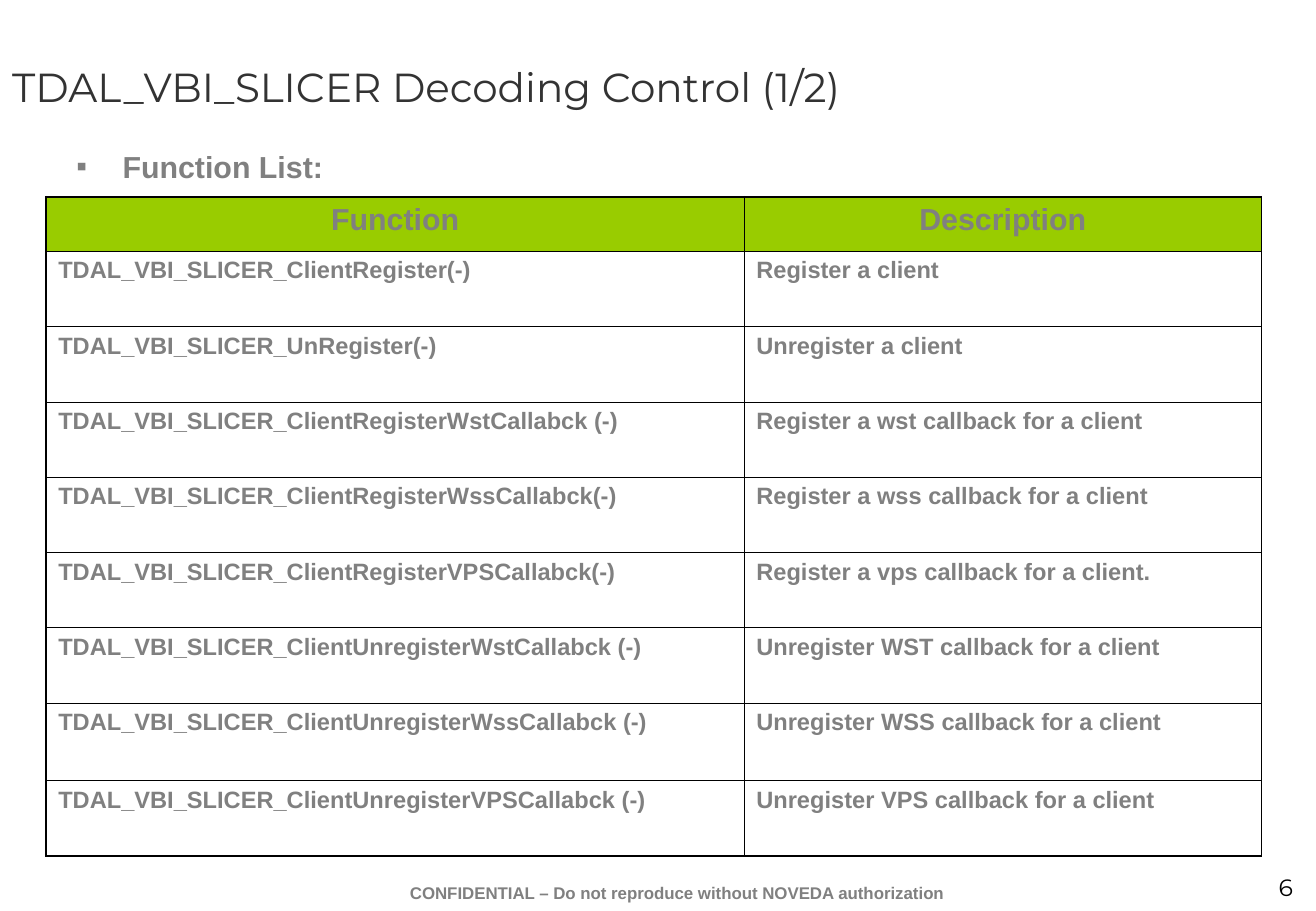
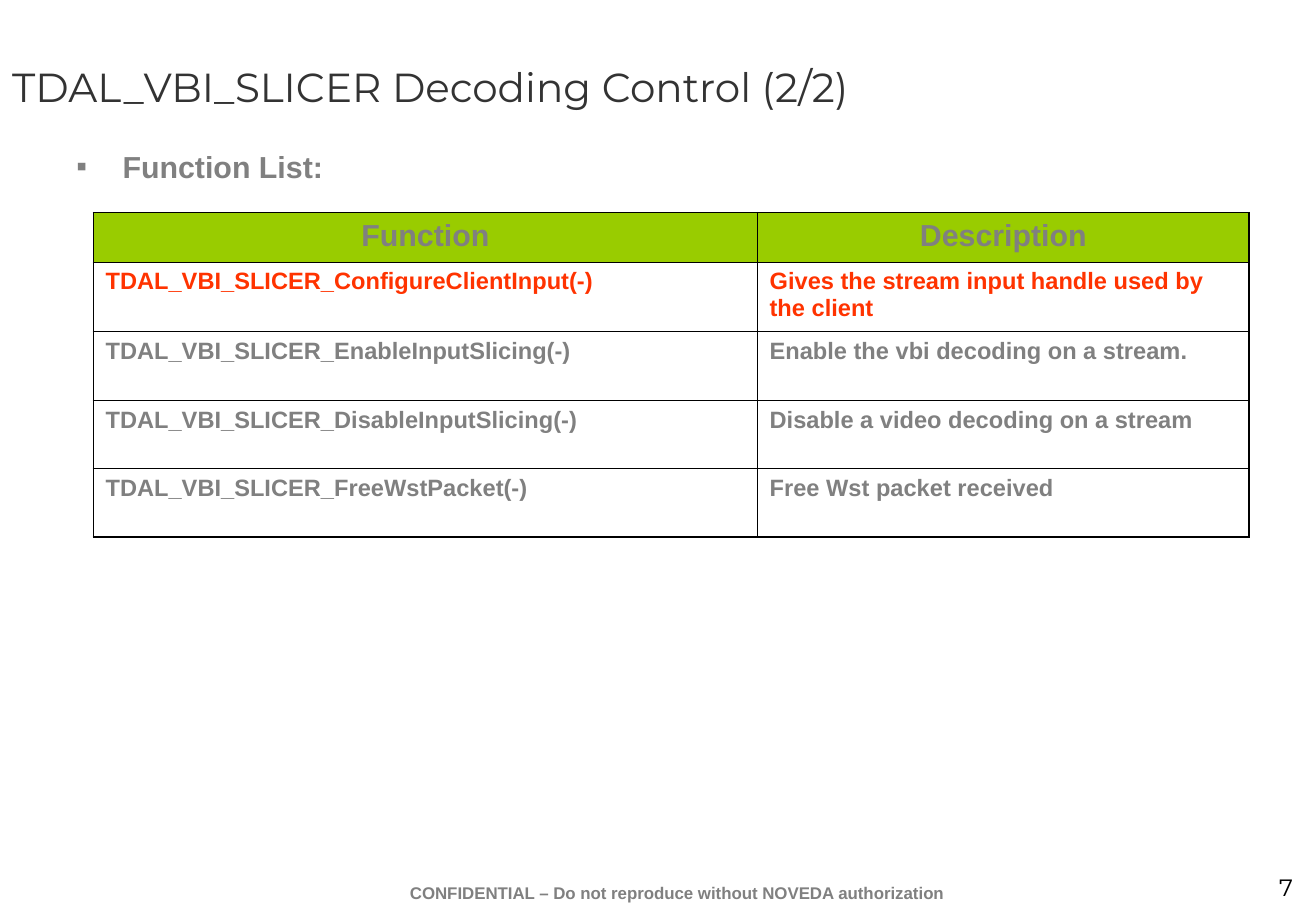
import pptx
import pptx.dml.color
import pptx.enum.text
import pptx.oxml
import pptx.oxml.ns
import pptx.util
from pptx.util import Inches

GREY = "808080"
DARK = "333333"
BLACK = "000000"
GREEN = "99CC00"
RED = "FF3300"
BODY_FONT = "Arial"
TITLE_FONT = "Montserrat"
FOOTER = "CONFIDENTIAL – Do not reproduce without NOVEDA authorization"
HEADINGS = ("Function", "Description")
OUTER_LINE = 1.08
INNER_LINE = 0.45
ALIGN = pptx.enum.text.PP_ALIGN
ANCHOR = pptx.enum.text.MSO_ANCHOR

REGISTER_ROWS = [
    ("TDAL_VBI_SLICER_ClientRegister(-)", "Register a client"),
    ("TDAL_VBI_SLICER_UnRegister(-)", "Unregister a client"),
    ("TDAL_VBI_SLICER_ClientRegisterWstCallabck (-)", "Register a wst callback for a client"),
    ("TDAL_VBI_SLICER_ClientRegisterWssCallabck(-)", "Register a wss callback for a client"),
    ("TDAL_VBI_SLICER_ClientRegisterVPSCallabck(-)", "Register a vps callback for a client."),
    ("TDAL_VBI_SLICER_ClientUnregisterWstCallabck (-)", "Unregister WST callback for a client"),
    ("TDAL_VBI_SLICER_ClientUnregisterWssCallabck (-)", "Unregister WSS callback for a client"),
    ("TDAL_VBI_SLICER_ClientUnregisterVPSCallabck (-)", "Unregister VPS callback for a client"),
]
SLICING_ROWS = [
    ("TDAL_VBI_SLICER_ConfigureClientInput(-)", "Gives the stream input handle used by the client"),
    ("TDAL_VBI_SLICER_EnableInputSlicing(-)", "Enable the vbi decoding on a stream."),
    ("TDAL_VBI_SLICER_DisableInputSlicing(-)", "Disable a video decoding on a stream"),
    ("TDAL_VBI_SLICER_FreeWstPacket(-)", "Free Wst packet received"),
]


def colour(value):
    return pptx.dml.color.RGBColor.from_string(value)


def add_xml(parent, markup):
    namespace = pptx.oxml.ns.nsdecls("a")
    tag, rest = markup.split(" ", 1)
    parent.append(pptx.oxml.parse_xml(f"{tag} {namespace} {rest}"))


def write_text(frame, text, size=14, font=BODY_FONT, color=GREY, bold=True,
               align=ALIGN.LEFT, anchor=ANCHOR.TOP, bullet=None):
    frame.word_wrap = True
    frame.vertical_anchor = anchor
    para = frame.paragraphs[0]
    if bullet:
        properties = para._p.get_or_add_pPr()
        properties.set("marL", str(Inches(0.38)))
        properties.set("indent", str(-Inches(0.38)))
        add_xml(properties, f'<a:buClr ><a:srgbClr val="{color}"/></a:buClr>')
        add_xml(properties, f'<a:buFont typeface="{font}"/>')
        add_xml(properties, f'<a:buChar char="{bullet}"/>')
    para.alignment = align
    para.space_before = pptx.util.Pt(0)
    span = para.add_run()
    span.text = text
    span.font.size = pptx.util.Pt(size)
    span.font.name = font
    span.font.bold = bold
    span.font.color.rgb = colour(color)


def place(box, left, top, width, height):
    box.left, box.top = Inches(left), Inches(top)
    box.width, box.height = Inches(width), Inches(height)
    box.text_frame.auto_size = pptx.enum.text.MSO_AUTO_SIZE.NONE


def add_label(page, bounds, text, **style):
    box = page.shapes.add_textbox(*map(Inches, bounds))
    write_text(box.text_frame, text, **style)


def add_page(deck, title, number):
    page = deck.slides.add_slide(deck.slide_layouts[1])
    heading, body = page.placeholders
    place(heading, 0, 0, 10.83, 1.42)
    write_text(heading.text_frame, title, size=24, font=TITLE_FONT, color=DARK,
               bold=False, anchor=ANCHOR.MIDDLE)
    place(body, 0.53, 1.17, 9.91, 4.95)
    write_text(body.text_frame, "Function List:", size=18, bullet="▪")
    add_label(page, (9.59, 7.14, 1.16, 0.33), str(number), font=TITLE_FONT,
              color=BLACK, bold=False, align=ALIGN.RIGHT)
    add_label(page, (2.66, 7.22, 5.83, 0.28), FOOTER, size=10, align=ALIGN.CENTER)
    return page


def border_cell(cell, outer_sides):
    properties = cell._tc.get_or_add_tcPr()
    for side in "LRTB":
        width = pptx.util.Pt(OUTER_LINE if side in outer_sides else INNER_LINE)
        add_xml(properties, f'<a:ln{side} w="{width}"><a:solidFill><a:srgbClr val="{BLACK}"/>'
                            f'</a:solidFill></a:ln{side}>')


def add_function_table(page, left, top, widths, heights, functions, highlighted=None):
    rows = [HEADINGS, *functions]
    frame = page.shapes.add_table(len(rows), len(widths), Inches(left), Inches(top),
                                  Inches(sum(widths)), Inches(sum(heights)))
    table = frame.table
    table.first_row = table.horz_banding = False
    for column, width in zip(table.columns, widths):
        column.width = Inches(width)
    for row, height in zip(table.rows, heights):
        row.height = Inches(height)
    for row_index, texts in enumerate(rows):
        for column_index, text in enumerate(texts):
            cell = table.cell(row_index, column_index)
            outer_sides = "L" if column_index == 0 else "R"
            if row_index == 0:
                outer_sides += "T"
            elif row_index == len(rows) - 1:
                outer_sides += "B"
            border_cell(cell, outer_sides)
            if row_index == 0:
                cell.fill.solid()
                cell.fill.fore_color.rgb = colour(GREEN)
                write_text(cell.text_frame, text, size=18, align=ALIGN.CENTER)
            else:
                cell.fill.background()
                write_text(cell.text_frame, text,
                           color=RED if row_index == highlighted else GREY)


def main():
    deck = pptx.Presentation()
    deck.slide_width, deck.slide_height = Inches(10.84), Inches(7.5)
    page = add_page(deck, "TDAL_VBI_SLICER Decoding Control (1/2)", 6)
    add_function_table(page, 0.38, 1.62, (5.75, 4.26),
                       [0.45] + [0.62] * 6 + [0.64, 0.62], REGISTER_ROWS)
    page = add_page(deck, "TDAL_VBI_SLICER Decoding Control (2/2)", 7)
    add_function_table(page, 0.77, 1.75, (5.47, 4.05),
                       [0.41] + [0.57] * 2 + [0.56] * 2, SLICING_ROWS, highlighted=1)
    deck.save("out.pptx")


if __name__ == "__main__":
    main()
